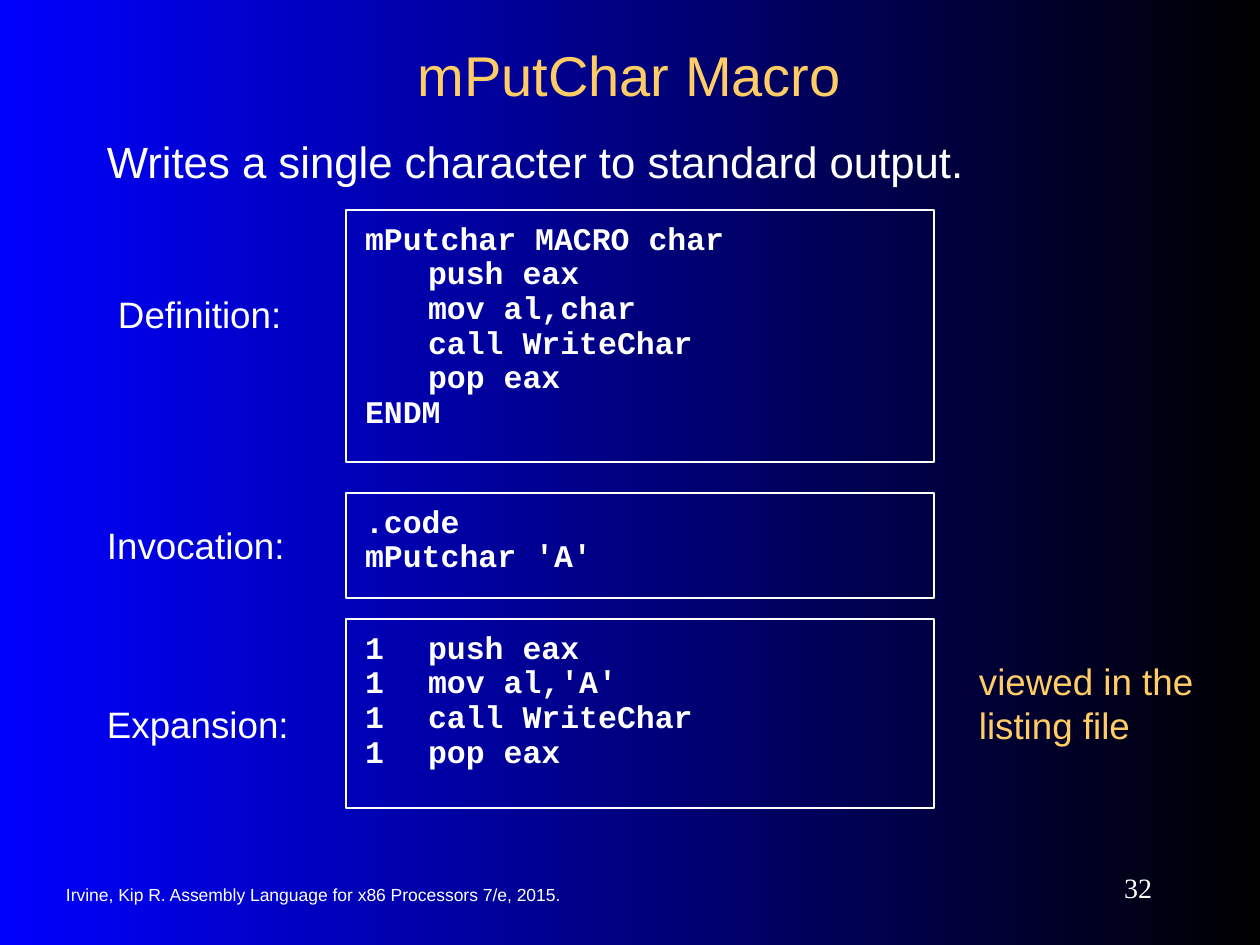
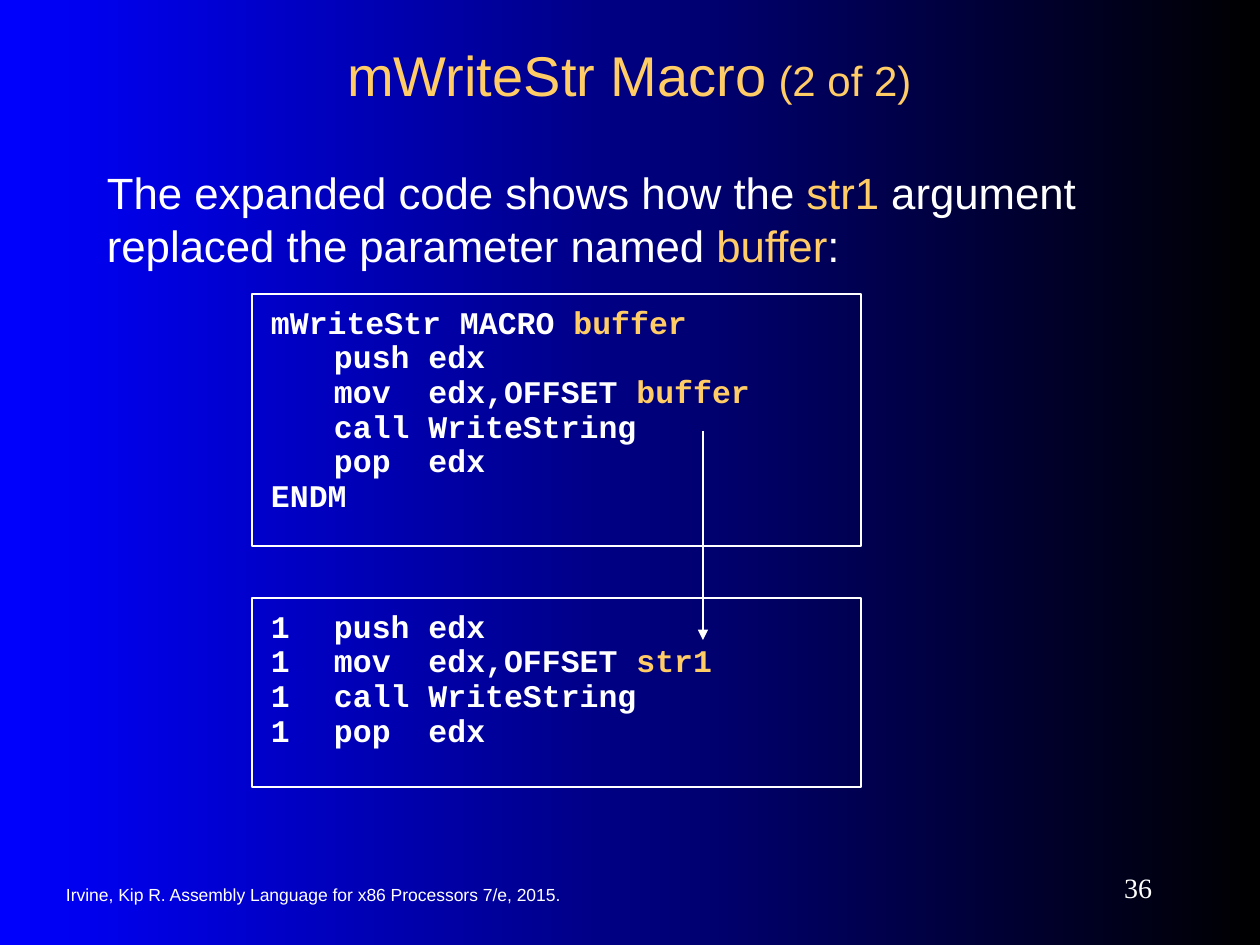
from lxml import etree
from pptx import Presentation
from pptx import util as u
from pptx.dml import color
from pptx.enum import shapes, text
from pptx.oxml import ns

PX = 914400 / 126
WHITE, GOLD = "FFFFFF", "FFCC66"
BLUE, BLACK = "0000FF", "000000"
SANS, SERIF, MONO = "Arial", "Times New Roman", "Courier New"
CREDIT = "Irvine, Kip R. Assembly Language for x86 Processors 7/e, 2015."

PUT_DEF = """mPutchar MACRO char
\tpush eax
\tmov al,char
\tcall WriteChar
\tpop eax
ENDM"""
PUT_CALL = """.code
mPutchar 'A'"""
PUT_EXP = """1\tpush eax
1\tmov al,'A'
1\tcall WriteChar
1\tpop eax"""
STR_DEF = """mWriteStr MACRO |buffer|
\tpush edx
\tmov  edx,OFFSET |buffer|
\tcall WriteString
\tpop  edx
ENDM"""
STR_EXP = """1\tpush edx
1\tmov  edx,OFFSET |str1|
1\tcall WriteString
1\tpop  edx"""


def px(*vals):
    """Turn pixel lengths into EMU."""
    return [u.Emu(round(v * PX)) for v in vals]


def rgb(code):
    """Turn a hex string into a colour."""
    return color.RGBColor.from_string(code)


def write(shape, words, size, font=SANS, tint=WHITE, pad=(13, 6), bold=False,
          align=text.PP_ALIGN.LEFT, anchor=text.MSO_ANCHOR.TOP):
    """Fill a shape with lines, where bars enclose gold words."""
    frame = shape.text_frame
    frame.word_wrap = True
    frame.vertical_anchor = anchor
    frame.margin_left = frame.margin_right = px(pad[0])[0]
    frame.margin_top = frame.margin_bottom = px(pad[1])[0]
    frame.text = words.replace("|", "")
    for para, line in zip(frame.paragraphs, words.split("\n")):
        para.alignment = align
        parts = line.split("|")
        para.text = parts[0]
        for part in parts[1:]:
            if part:
                para.add_run().text = part
        for i, run in enumerate(para.runs):
            run.font.size = u.Pt(size)
            run.font.name = font
            run.font.bold = bold
            run.font.color.rgb = rgb(GOLD if i % 2 else tint)
    return frame


def label(slide, box, words, size=21, tint=WHITE):
    """Place body text."""
    write(slide.shapes.add_textbox(*px(*box)), words, size, tint=tint,
          pad=(13, 19))


def code(slide, box, words):
    """Place a framed code listing."""
    rect = slide.shapes.add_shape(shapes.MSO_SHAPE.RECTANGLE, *px(*box))
    rect.shadow.inherit = False
    rect.fill.background()
    rect.line.color.rgb = rgb(WHITE)
    rect.line.width = u.Pt(0.75)
    frame = write(rect, words, 18, MONO, pad=(19, 25), bold=True)
    for i, para in enumerate(frame.paragraphs):
        para.line_spacing = 0.5
        if i:
            para.space_before = u.Pt(9)


def arrow(slide, start, end):
    """Draw a thin arrow."""
    line = slide.shapes.add_connector(
        shapes.MSO_CONNECTOR.STRAIGHT, *px(*start, *end))
    line.line.color.rgb = rgb(WHITE)
    line.line.width = u.Pt(0.75)
    etree.SubElement(line.line._get_or_add_ln(), ns.qn("a:tailEnd"),
                     type="triangle")
    etree.SubElement(line._element.spPr, ns.qn("a:effectLst"))


def base(deck, title, number, part=""):
    """Add a slide with backdrop, footer and title."""
    slide = deck.slides.add_slide(deck.slide_layouts[6])
    fill = slide.background.fill
    fill.gradient()
    fill.gradient_angle = 0
    for stop, tint in zip(fill.gradient_stops, (BLUE, BLACK)):
        stop.color.rgb = rgb(tint)
    mid = text.MSO_ANCHOR.MIDDLE
    add = slide.shapes.add_textbox
    write(add(*px(53, 873, 598, 42)), CREDIT, 10, anchor=mid)
    write(add(*px(1029, 861, 136, 52)), str(number), 16, SERIF,
          align=text.PP_ALIGN.RIGHT, anchor=mid)
    head = write(add(*px(94, 32, 1071, 84)), f"{title}|{part}", 32, tint=GOLD,
                 align=text.PP_ALIGN.CENTER, anchor=mid)
    for run in head.paragraphs[0].runs[1:]:
        run.font.size = u.Pt(24)
    return slide


def put(deck):
    """Build the single-character macro slide."""
    slide = base(deck, "mPutChar Macro", 32)
    label(slide, (94, 116, 1061, 90),
          "Writes a single character to standard output.", 25)
    rows = [("Definition:", 105, 273, 210, 252, PUT_DEF),
            ("Invocation:", 94, 504, 493, 105, PUT_CALL),
            ("Expansion:", 94, 683, 619, 189, PUT_EXP)]
    for name, left, mark, top, high, lines in rows:
        code(slide, (346, top, 588, high), lines)
        label(slide, (left, mark, 326, 82), name)
    label(slide, (966, 640, 252, 126), "viewed in the listing file", tint=GOLD)


def string(deck):
    """Build the string macro slide."""
    slide = base(deck, "mWriteStr Macro", 36, " (2 of 2)")
    label(slide, (94, 147, 1061, 142),
          "The expanded code shows how the |str1| argument replaced "
          "the parameter named |buffer|:", 25)
    for top, high, lines in ((294, 252, STR_DEF), (598, 189, STR_EXP)):
        code(slide, (252, top, 609, high), lines)
    arrow(slide, (703, 431), (703, 640))


def main():
    """Build and save the deck."""
    deck = Presentation()
    deck.slide_width, deck.slide_height = px(1260, 945)
    put(deck)
    string(deck)
    deck.save("out.pptx")


if __name__ == "__main__":
    main()
